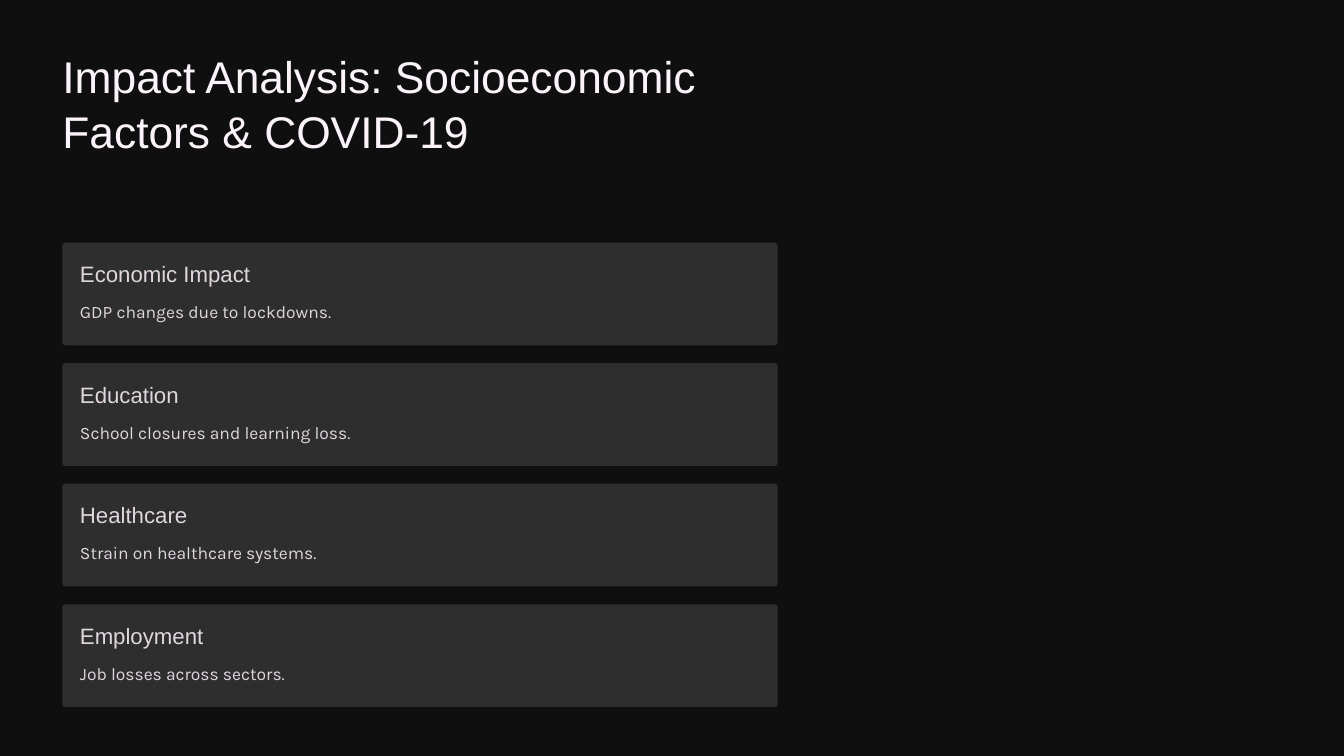
from pptx import Presentation
from pptx.dml.color import RGBColor
from pptx.enum.shapes import MSO_SHAPE
from pptx.util import Pt

BLACK = RGBColor(0x00, 0x00, 0x00)
BACK = RGBColor(0x0F, 0x0F, 0x10)
PANEL = RGBColor(0x2E, 0x2E, 0x2F)
BRIGHT = RGBColor(0xFB, 0xF3, 0xFA)
SOFT = RGBColor(0xE0, 0xD6, 0xDE)

PAGE_W, PAGE_H = 1440, 810
LEFT, WIDTH = 66.9, 766.2
TOP, HEIGHT, GAP = 260, 110, 19.15
RADIUS = 2.9
TOPICS = [
    ("Economic Impact", "GDP changes due to lockdowns."),
    ("Education", "School closures and learning loss."),
    ("Healthcare", "Strain on healthcare systems."),
    ("Employment", "Job losses across sectors."),
]


def add_panel(slide, kind, color, x, y, w, h):
    panel = slide.shapes.add_shape(kind, Pt(x), Pt(y), Pt(w), Pt(h))
    panel.shadow.inherit = False
    panel.fill.solid()
    panel.fill.fore_color.rgb = color
    panel.line.fill.background()
    return panel


def add_text(slide, text, x, y, w, h, font, size, line, color):
    frame = slide.shapes.add_textbox(Pt(x), Pt(y), Pt(w), Pt(h)).text_frame
    frame.word_wrap = True
    frame.margin_left = frame.margin_right = 0
    frame.margin_top = frame.margin_bottom = 0
    frame.text = text
    para = frame.paragraphs[0]
    para.line_spacing = Pt(line)
    style = para.runs[0].font
    style.name = font
    style.size = Pt(size)
    style.color.rgb = color


def add_title(slide, x, y, w, h):
    add_text(slide, "Impact Analysis: Socioeconomic Factors & COVID-19",
             x, y, w, h, "Arial", 47.5, 59.4, BRIGHT)


def add_card(slide, head, body, x, y, w, h):
    # Panel with slightly rounded corners
    panel = add_panel(slide, MSO_SHAPE.ROUNDED_RECTANGLE, PANEL, x, y, w, h)
    panel.adjustments[0] = RADIUS / min(w, h)
    # Heading and description
    pad = 18.8
    add_text(slide, head, x + pad, y + 18.1, 238, 31,
             "Arial", 23.8, 29.4, SOFT)
    add_text(slide, body, x + pad, y + 55.2, w - 2 * pad, 35,
             "Karla", 18.7, 30, SOFT)


def main():
    deck = Presentation()
    deck.slide_width, deck.slide_height = Pt(PAGE_W), Pt(PAGE_H)
    slide = deck.slides.add_slide(deck.slide_layouts[6])
    slide.background.fill.solid()
    slide.background.fill.fore_color.rgb = BLACK

    # Backdrop and title
    add_panel(slide, MSO_SHAPE.RECTANGLE, BACK, 0, 0, PAGE_W, PAGE_H)
    add_title(slide, LEFT, 50.1, WIDTH, 181.4)
    # Stack of topic cards
    for i, (head, body) in enumerate(TOPICS):
        add_card(slide, head, body, LEFT, TOP + i * (HEIGHT + GAP),
                 WIDTH, HEIGHT)
    deck.save("out.pptx")


if __name__ == "__main__":
    main()
